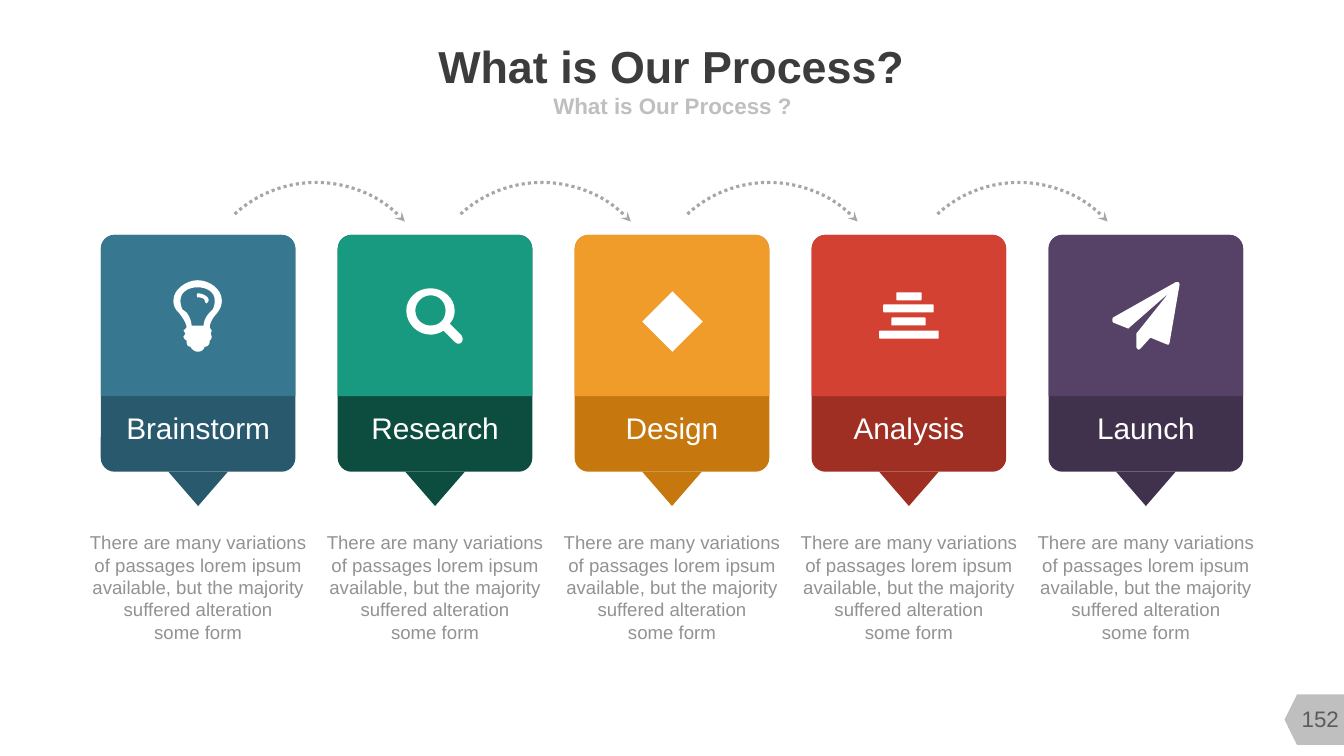
from lxml import etree
from pptx import Presentation
from pptx import util as u
from pptx.dml import color
from pptx.enum import dml, shapes, text
from pptx.oxml import ns

WHITE = color.RGBColor(0xFF, 0xFF, 0xFF)
INK = color.RGBColor(0x3C, 0x3C, 0x3C)
SILVER = color.RGBColor(0xBF, 0xBF, 0xBF)
GREY = color.RGBColor(0x92, 0x92, 0x92)
ARROW = color.RGBColor(0xA6, 0xA6, 0xA6)
NUMBER = color.RGBColor(0x5C, 0x5C, 0x5C)
BLUE, BLUE_DARK = color.RGBColor(0x37, 0x77, 0x90), color.RGBColor(0x29, 0x59, 0x6C)
GREEN, GREEN_DARK = color.RGBColor(0x18, 0x9A, 0x80), color.RGBColor(0x0C, 0x4D, 0x40)
ORANGE, ORANGE_DARK = color.RGBColor(0xF0, 0x9C, 0x2A), color.RGBColor(0xC6, 0x78, 0x0E)
RED, RED_DARK = color.RGBColor(0xD2, 0x41, 0x32), color.RGBColor(0xA0, 0x2F, 0x23)
PURPLE, PURPLE_DARK = color.RGBColor(0x56, 0x42, 0x66), color.RGBColor(0x40, 0x32, 0x4D)

STEPS = [
    ("Brainstorm", 1.45, BLUE, BLUE_DARK),
    ("Research", 1.28, GREEN, GREEN_DARK),
    ("Design", 0.93, ORANGE, ORANGE_DARK),
    ("Analysis", 1.11, RED, RED_DARK),
    ("Launch", 0.98, PURPLE, PURPLE_DARK),
]
DETAIL = ("There are many variations\nof passages lorem ipsum available, "
          "but the majority suffered alteration\nsome form")
CARD_LEFT, CARD_TOP, CARD_WIDTH, CARD_PITCH = 1, 2.33, 1.93, 2.35
ARC_LEFTS = [1.94, 4.18, 6.43, 8.91]

BULB = [
    [(2.15, 3.11), (2.12, 3.14, 2.08, 3.2, 2.08, 3.25), (2.1, 3.28), (2.09, 3.31),
     (2.1, 3.34), (2.1, 3.36, 2.09, 3.37, 2.08, 3.38), (2.08, 3.43, 2.05, 3.44, 2.03, 3.44),
     (2.02, 3.47, 2, 3.49, 1.96, 3.49), (1.94, 3.49, 1.9, 3.47, 1.89, 3.44),
     (1.87, 3.44, 1.85, 3.43, 1.85, 3.38), (1.84, 3.37, 1.82, 3.36, 1.82, 3.34),
     (1.84, 3.31), (1.82, 3.28), (1.85, 3.25), (1.85, 3.2, 1.8, 3.14, 1.78, 3.11),
     (1.74, 3.07, 1.72, 3.04, 1.72, 2.98), (1.72, 2.87, 1.85, 2.78, 1.96, 2.78),
     (2.08, 2.78, 2.2, 2.87, 2.2, 2.98), (2.2, 3.04, 2.18, 3.07, 2.15, 3.11)],
    [(1.96, 2.85), (1.88, 2.85, 1.79, 2.89, 1.79, 2.98), (1.79, 3.02, 1.8, 3.05, 1.81, 3.07),
     (1.85, 3.1), (1.88, 3.14, 1.9, 3.19, 1.9, 3.23), (2.02, 3.23),
     (2.02, 3.19, 2.04, 3.14, 2.08, 3.1), (2.11, 3.07), (2.12, 3.05, 2.13, 3.02, 2.13, 2.98),
     (2.13, 2.89, 2.04, 2.85, 1.96, 2.85)],
    [(2.05, 3.01), (2.04, 3.01, 2.03, 2.99, 2.03, 2.98), (2.03, 2.96, 1.99, 2.95, 1.96, 2.95),
     (1.95, 2.95, 1.95, 2.91, 1.96, 2.91), (2.01, 2.91, 2.07, 2.94, 2.07, 2.98),
     (2.07, 2.99, 2.05, 3.01, 2.05, 3.01)],
]
LENS = [
    [(4.55, 3.41), (4.53, 3.41, 4.52, 3.4, 4.51, 3.39), (4.4, 3.28),
     (4.37, 3.3, 4.32, 3.32, 4.27, 3.32), (4.14, 3.32, 4.03, 3.21, 4.03, 3.08),
     (4.03, 2.96, 4.14, 2.86, 4.27, 2.86), (4.4, 2.86, 4.51, 2.96, 4.51, 3.08),
     (4.51, 3.14, 4.49, 3.18, 4.46, 3.21), (4.58, 3.33),
     (4.58, 3.34, 4.59, 3.35, 4.59, 3.36), (4.59, 3.39, 4.57, 3.41, 4.55, 3.41)],
    [(4.27, 2.93), (4.19, 2.93, 4.12, 3, 4.12, 3.08), (4.12, 3.17, 4.19, 3.23, 4.27, 3.23),
     (4.36, 3.23, 4.42, 3.17, 4.42, 3.08), (4.42, 3, 4.36, 2.93, 4.27, 2.93)],
]
PLANE = [
    [(11.7, 2.82), (11.6, 3.4), (11.59, 3.42), (11.58, 3.42), (11.41, 3.35), (11.31, 3.46),
     (11.29, 3.47), (11.28, 3.46, 11.27, 3.45, 11.27, 3.44), (11.27, 3.31), (11.59, 2.91),
     (11.19, 3.26), (11.04, 3.2), (11.03, 3.19, 11.03, 3.16, 11.04, 3.15), (11.66, 2.8),
     (11.69, 2.8)],
]
BARS = [(8.89, 2.9, 9.14), (8.76, 3.02, 9.26), (8.84, 3.15, 9.18), (8.72, 3.28, 9.31)]


def bar(left, top, right, height=0.08, bend=0.02):
    """Outline one rounded bar of the analysis icon."""
    bottom = top + height
    return [(left + bend, top), (right - bend, top),
            (right, top, right, top, right, top + bend), (right, bottom - bend),
            (right, bottom, right, bottom, right - bend, bottom), (left + bend, bottom),
            (left, bottom, left, bottom, left, bottom - bend), (left, top + bend),
            (left, top, left, top, left + bend, top)]


def flatten(contour, parts=8):
    """Turn points and cubic curves into a list of points."""
    points = [contour[0]]
    for piece in contour[1:]:
        if len(piece) == 2:
            points.append(piece)
            continue
        start = points[-1]
        for t in (n / parts for n in range(1, parts + 1)):
            s = 1 - t
            points.append(tuple(
                s ** 3 * start[i] + 3 * s * s * t * piece[i]
                + 3 * s * t * t * piece[i + 2] + t ** 3 * piece[i + 4] for i in (0, 1)))
    return [(u.Inches(x), u.Inches(y)) for x, y in points]


def apply(target, values):
    """Set attributes from a dict."""
    for name, value in values.items():
        setattr(target, name, value)


def write(box, words, size, tint, bold=False, anchor=text.MSO_ANCHOR.MIDDLE, wrap=True):
    """Fill a box with one centred paragraph."""
    frame = box.text_frame
    apply(frame, dict(margin_left=0, margin_top=0, margin_right=0, margin_bottom=0,
                      word_wrap=wrap, auto_size=text.MSO_AUTO_SIZE.NONE,
                      vertical_anchor=anchor))
    para = frame.paragraphs[0]
    para.text = words
    apply(para, dict(alignment=text.PP_ALIGN.CENTER, space_before=u.Pt(0)))
    for span in para.runs:
        apply(span.font, dict(size=u.Pt(size), name="Arial", bold=bold))
        span.font.color.rgb = tint
    return para


def place(box, *area):
    """Move and size a placeholder."""
    apply(box, dict(zip(("left", "top", "width", "height"), map(u.Inches, area))))


def add_text(parent, area, words, size, tint, **style):
    """Add a text box."""
    box = parent.shapes.add_textbox(*map(u.Inches, area))
    write(box, words, size, tint, **style)


def paint(shape, fill):
    """Give a shape a flat fill without line or shadow."""
    shape.shadow.inherit = False
    shape.fill.solid()
    shape.fill.fore_color.rgb = fill
    shape.line.fill.background()


def add_block(parent, kind, area, fill, rotation=0, corners=()):
    """Add a flat preset shape."""
    block = parent.shapes.add_shape(kind, *map(u.Inches, area))
    paint(block, fill)
    block.rotation = rotation
    for index, value in enumerate(corners):
        block.adjustments[index] = value


def add_icon(page, contours):
    """Add a white icon made of closed contours."""
    outlines = [flatten(contour) for contour in contours]
    builder = page.shapes.build_freeform(*outlines[0][0])
    for index, points in enumerate(outlines):
        if index:
            builder.move_to(*points[0])
        builder.add_line_segments(points[1:], close=True)
    paint(builder.convert_to_shape(), WHITE)


def add_arc(page, left):
    """Add a dotted arc with an arrowhead."""
    arc = page.shapes.add_shape(shapes.MSO_SHAPE.ARC, *map(u.Inches, (left, 1.81, 2.39, 2.39)))
    arc.shadow.inherit = False
    arc.rotation = 317.5
    arc.fill.background()
    arc.line.color.rgb = ARROW
    apply(arc.line, dict(width=u.Pt(2.25), dash_style=dml.MSO_LINE.ROUND_DOT))
    line = arc.line._get_or_add_ln()
    etree.SubElement(line, ns.qn("a:tailEnd"), type="stealth")


def add_step(page, left, label, label_width, light, dark):
    """Add one step card with its label and detail."""
    middle = left + CARD_WIDTH / 2
    card = page.shapes.add_group_shape()
    add_block(card, shapes.MSO_SHAPE.ROUNDED_RECTANGLE,
              (left, CARD_TOP, CARD_WIDTH, 2.35), dark, corners=(0.071,))
    add_block(card, shapes.MSO_SHAPE.ISOSCELES_TRIANGLE,
              (left + 0.67, 4.68, 0.59, 0.34), dark, rotation=180)
    add_text(card, (middle - label_width / 2, 4.06, label_width, 0.36),
             label, 21.3, WHITE, wrap=False)
    add_block(page, shapes.MSO_SHAPE.ROUND_2_SAME_RECTANGLE,
              (left, CARD_TOP, CARD_WIDTH, 1.6), light, corners=(0.087, 0))
    add_text(page, (left - 0.21, 5.27, 2.35, 1.12), DETAIL, 13.3, GREY,
             anchor=text.MSO_ANCHOR.TOP)


def add_heading(page):
    """Fill the title and the subtitle placeholders."""
    title, body = page.placeholders
    place(title, 2.55, 0.39, 8.22, 0.52)
    write(title, "What is Our Process?", 32, INK, bold=True, wrap=False)
    place(body, 3.67, 0.9, 6, 0.29)
    para = write(body, "What is Our Process ?", 16, SILVER, bold=True)
    props = para._p.get_or_add_pPr()
    props.set("marL", "0")
    props.set("indent", "0")
    etree.SubElement(props, ns.qn("a:buNone"))


def main():
    """Build the process slide and save it."""
    deck = Presentation()
    apply(deck, dict(slide_width=u.Inches(13.33), slide_height=u.Inches(7.5)))
    page = deck.slides.add_slide(deck.slide_layouts[1])
    add_block(page, shapes.MSO_SHAPE.FLOWCHART_OFFPAGE_CONNECTOR,
              (12.8, 6.83, 0.5, 0.62), SILVER, rotation=90)
    add_text(page, (12.76, 6.93, 0.67, 0.4), "152", 16, NUMBER)
    add_heading(page)
    for index, step in enumerate(STEPS):
        add_step(page, CARD_LEFT + index * CARD_PITCH, *step)
    for left in ARC_LEFTS:
        add_arc(page, left)
    for contours in (BULB, LENS, [bar(*edges) for edges in BARS], PLANE):
        add_icon(page, contours)
    add_block(page, shapes.MSO_SHAPE.DIAMOND, (6.37, 2.89, 0.6, 0.6), WHITE)
    deck.save("out.pptx")


if __name__ == "__main__":
    main()
